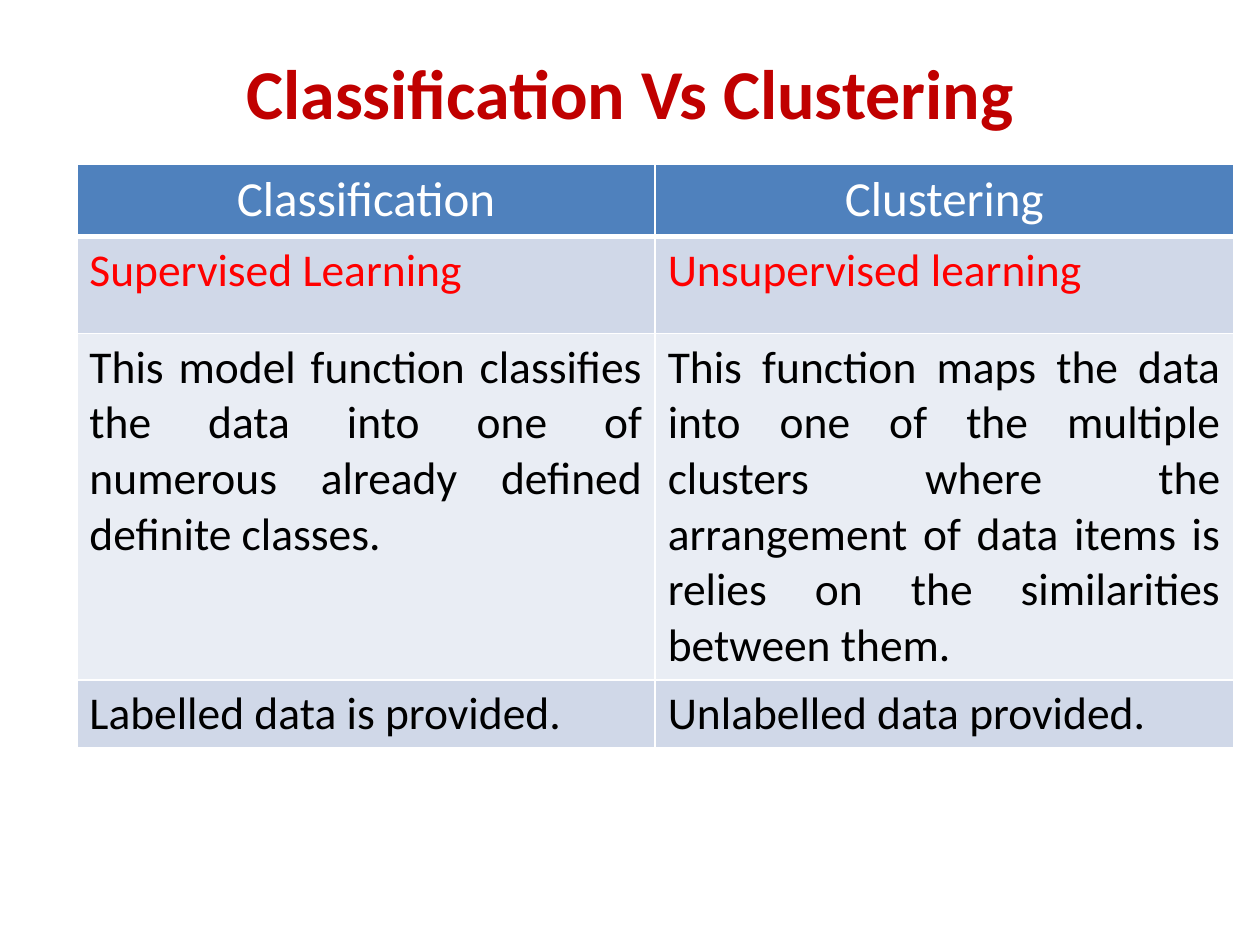
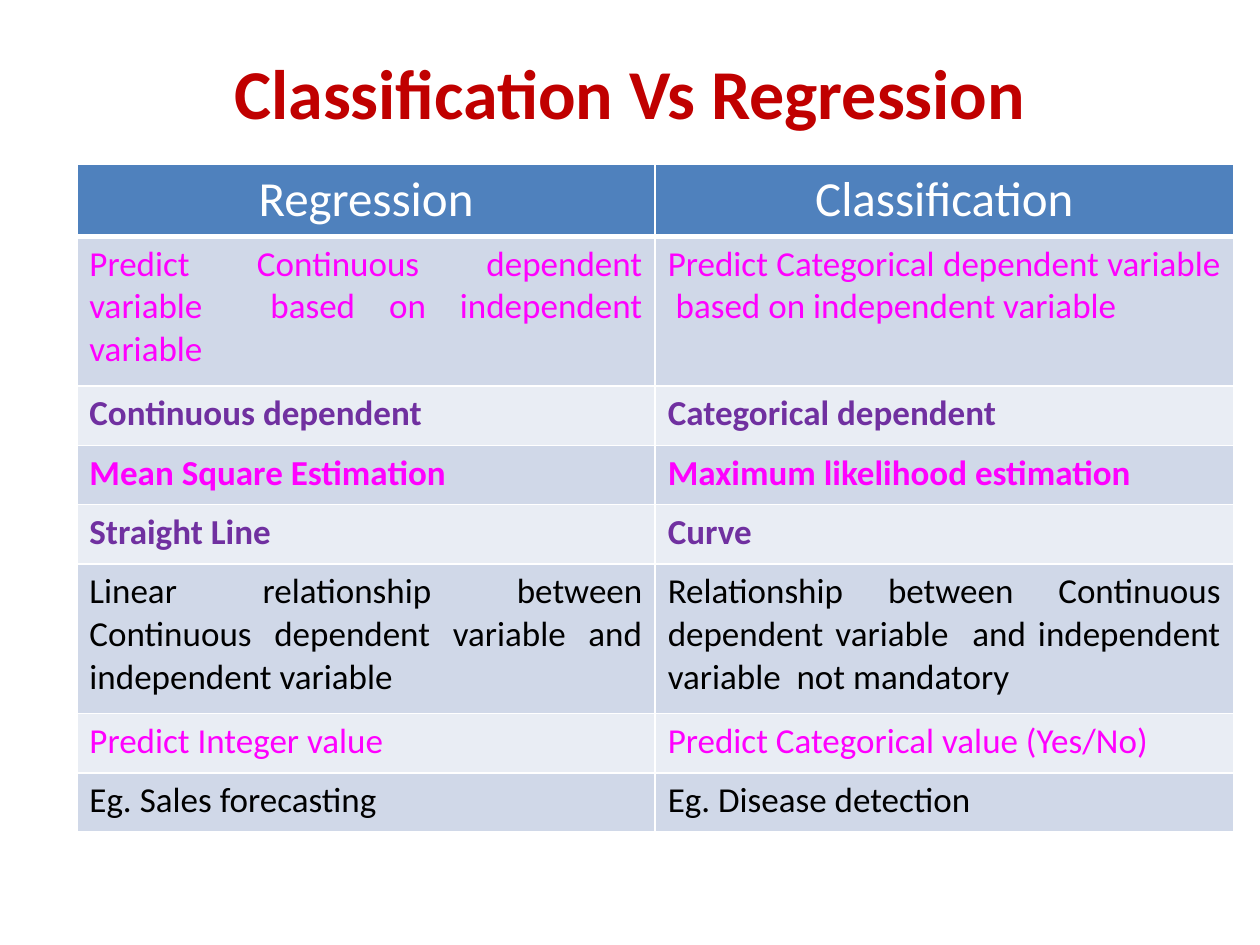
"""Build two slides that compare machine learning tasks in tables."""
from lxml import etree
from pptx import Presentation
from pptx import util as u
from pptx.dml.color import RGBColor
from pptx.enum import text
from pptx.oxml import ns

PX = 9144
FONT = "Calibri"
DARK_RED = RGBColor(0xC0, 0x00, 0x00)
RED = RGBColor(0xFF, 0x00, 0x00)
MAGENTA = RGBColor(0xFF, 0x00, 0xFF)
PURPLE = RGBColor(0x70, 0x30, 0xA0)
BLACK = RGBColor(0x00, 0x00, 0x00)
WHITE = RGBColor(0xFF, 0xFF, 0xFF)
HEADER_BLUE = RGBColor(0x4F, 0x81, 0xBD)
BANDS = (RGBColor(0xE9, 0xED, 0xF4), RGBColor(0xD0, 0xD8, 0xE8))

LEFT, CENTER, JUSTIFY = (
    text.PP_ALIGN.LEFT, text.PP_ALIGN.CENTER, text.PP_ALIGN.JUSTIFY)
TABLE_LEFT, TABLE_TOP, COLUMN_WIDTH, ROW_HEIGHT = 61, 130, 459, 47

CLUSTERING_ROWS = [
    (77, RED, False, LEFT, "Supervised Learning", "Unsupervised learning"),
    (ROW_HEIGHT, BLACK, False, JUSTIFY,
     "This model function classifies the data into one of numerous already "
     "defined definite classes.",
     "This function maps the data into one of the multiple clusters where the "
     "arrangement of data items is relies on the similarities between them."),
    (ROW_HEIGHT, BLACK, False, JUSTIFY,
     "Labelled data is provided.", "Unlabelled data provided."),
]
REGRESSION_ROWS = [
    (119, MAGENTA, False, JUSTIFY,
     "Predict Continuous dependent variable  based on independent variable",
     "Predict Categorical dependent variable  based on independent variable"),
    (ROW_HEIGHT, PURPLE, True, JUSTIFY,
     "Continuous dependent ", "Categorical dependent "),
    (ROW_HEIGHT, MAGENTA, True, JUSTIFY,
     "Mean Square Estimation", "Maximum likelihood estimation"),
    (ROW_HEIGHT, PURPLE, True, JUSTIFY, "Straight Line", "Curve"),
    (119, BLACK, False, JUSTIFY,
     "Linear relationship between Continuous dependent variable and "
     "independent variable",
     "Relationship between Continuous dependent variable  and independent "
     "variable  not mandatory"),
    (ROW_HEIGHT, MAGENTA, False, JUSTIFY,
     "Predict Integer value", "Predict Categorical value (Yes/No)"),
    (ROW_HEIGHT, BLACK, False, JUSTIFY,
     "Eg. Sales forecasting", "Eg. Disease detection"),
]


def px(length):
    """Turn whole px into EMU."""
    return u.Emu(length * PX)


def write(frame, words, size, color, bold, align):
    """Write one formatted run into the first paragraph of a frame."""
    paragraph = frame.paragraphs[0]
    paragraph.alignment = align
    run = paragraph.add_run()
    run.text = words
    run.font.name = FONT
    run.font.size = u.Pt(size)
    run.font.bold = bold
    run.font.color.rgb = color


def add_title(slide, words):
    """Place and fill the title placeholder."""
    title = slide.shapes.title
    title.left, title.top, title.width, title.height = map(
        px, (50, 30, 900, 85))
    title.text_frame.vertical_anchor = text.MSO_ANCHOR.MIDDLE
    write(title.text_frame, words, 40, DARK_RED, True, CENTER)


def set_borders(cell, bottom):
    """Draw white cell borders, with the bottom one of a given point width."""
    properties = cell._tc.get_or_add_tcPr()
    for side, points in (("L", 1), ("R", 1), ("T", 1), ("B", bottom)):
        line = etree.SubElement(
            properties, ns.qn(f"a:ln{side}"), w=str(u.Pt(points)))
        fill = etree.SubElement(line, ns.qn("a:solidFill"))
        etree.SubElement(fill, ns.qn("a:srgbClr"), val=str(WHITE))


def fill_row(table, index, height, words, fill, size, color, bold, align):
    """Set the height, fill, borders and text of one table row."""
    table.rows[index].height = px(height)
    for column, phrase in enumerate(words):
        cell = table.cell(index, column)
        set_borders(cell, 1 if index else 3)
        cell.fill.solid()
        cell.fill.fore_color.rgb = fill
        write(cell.text_frame, phrase, size, color, bold, align)


def add_comparison(slide, headings, rows, body_size):
    """Add a two-column table with a blue header and banded rows."""
    height = ROW_HEIGHT + sum(row[0] for row in rows)
    table = slide.shapes.add_table(
        len(rows) + 1, len(headings), px(TABLE_LEFT), px(TABLE_TOP),
        px(COLUMN_WIDTH * len(headings)), px(height)).table
    for column in table.columns:
        column.width = px(COLUMN_WIDTH)
    fill_row(table, 0, ROW_HEIGHT, headings, HEADER_BLUE, 28, WHITE, False,
             CENTER)
    for index, (row_height, color, bold, align, *words) in enumerate(rows, 1):
        fill_row(table, index, row_height, words, BANDS[index % 2], body_size,
                 color, bold, align)


def main():
    """Build and save the presentation."""
    deck = Presentation()
    deck.slide_width, deck.slide_height = px(1000), px(750)
    comparisons = (
        ("Classification Vs Clustering", ("Classification", "Clustering"),
         CLUSTERING_ROWS, 26),
        ("Classification Vs Regression", ("Regression", "Classification"),
         REGRESSION_ROWS, 20),
    )
    for title, headings, rows, body_size in comparisons:
        slide = deck.slides.add_slide(deck.slide_layouts[5])
        add_title(slide, title)
        add_comparison(slide, headings, rows, body_size)
    deck.save("out.pptx")


if __name__ == "__main__":
    main()
